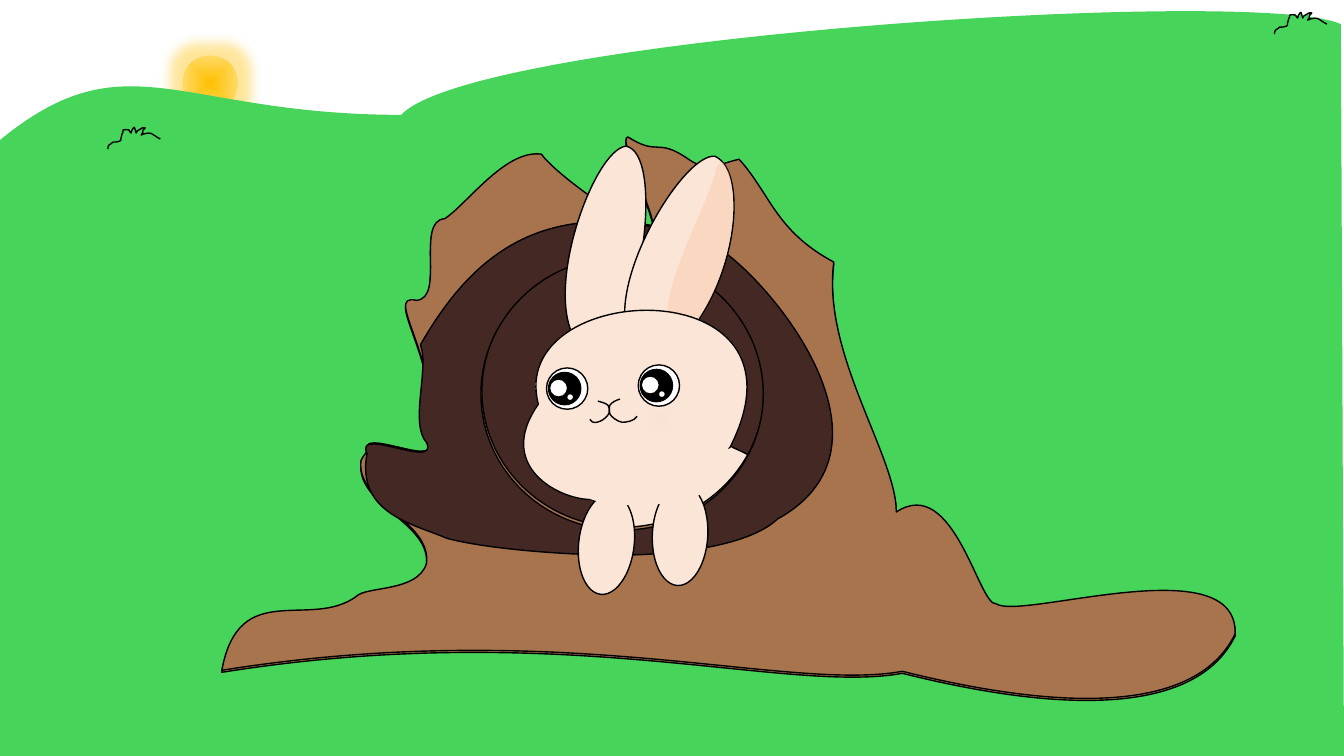
from dataclasses import dataclass, replace
from math import cos, radians, sin

from lxml.etree import SubElement
from pptx import Presentation
from pptx.dml.color import RGBColor
from pptx.enum.dml import MSO_LINE
from pptx.enum.shapes import MSO_SHAPE as Preset
from pptx.oxml.ns import qn
from pptx.util import Inches, Pt

# Grid: 1333 columns by 750 rows, all lengths below are counted in cells
CELL = Inches(0.01)
COLUMNS, ROWS = 1333, 750
FINE = 100  # path units per cell

COLORS = {
    "grass": "47D45A", "ray": "FFF2CC", "sun": "FFC000", "sun rim": "FFD966",
    "bark": "A7744E", "hollow": "442824", "fur": "FBE5D6", "fur light": "F6F8FC",
    "inner ear": "F8CBAD", "blush": "F8BBC9", "white": "FFFFFF", "black": "000000",
}
PEN = {"width": Pt(1), "dash_style": MSO_LINE.SOLID}


@dataclass(frozen=True)
class Look:
    fill: str | None = None
    inked: bool = False
    opacity: int = 100
    soft: float = 0  # soft edge in points
    glow: float = 0  # glow in points
    fade: tuple[str, float] | None = None  # second colour and its position
    radial: bool = False


@dataclass(frozen=True)
class Form:
    preset: Preset
    box: tuple[float, float, float, float]
    look: Look
    turn: float = 0


@dataclass(frozen=True)
class Outline:
    steps: str
    look: Look
    turn: float = 0
    shift: tuple[float, float] = (0, 0)


def color(name: str) -> RGBColor:
    return RGBColor.from_string(COLORS[name])


def apply_look(shape, look: Look) -> None:
    shape.shadow.inherit = False
    props = shape._element.spPr
    if look.fade:
        shape.fill.gradient()
        if not look.radial:
            shape.fill.gradient_angle = 0
        ends = ((look.fill, 0), look.fade)
        for stop, (name, position) in zip(shape.fill.gradient_stops, ends):
            stop.color.rgb, stop.position = color(name), position
        if look.radial:
            gradient = props.find(qn("a:gradFill"))
            gradient.remove(gradient.find(qn("a:lin")))
            center = SubElement(gradient, qn("a:path"), {"path": "shape"})
            SubElement(center, qn("a:fillToRect"), dict.fromkeys("ltrb", "50000"))
    elif look.fill:
        shape.fill.solid()
        shape.fill.fore_color.rgb = color(look.fill)
        if look.opacity < 100:
            tint = props.find(".//" + qn("a:srgbClr"))
            SubElement(tint, qn("a:alpha"), {"val": str(look.opacity * 1000)})
    else:
        shape.fill.background()
    if look.inked:
        shape.line.color.rgb = color("black")
        for name, value in PEN.items():
            setattr(shape.line, name, value)
    else:
        shape.line.fill.background()
    effects = props.find(qn("a:effectLst"))
    if look.glow:
        halo = SubElement(effects, qn("a:glow"), {"rad": str(Pt(look.glow))})
        tint = SubElement(halo, qn("a:srgbClr"), {"val": COLORS[look.fill]})
        SubElement(tint, qn("a:alpha"), {"val": "40000"})
    if look.soft:
        SubElement(effects, qn("a:softEdge"), {"rad": str(Pt(look.soft))})


def rotate(point: tuple, degrees: float) -> tuple[float, float]:
    x, y = point
    c, s = cos(radians(degrees)), sin(radians(degrees))
    return x * c - y * s, x * s + y * c


def read_steps(outline: Outline) -> list[tuple[str, list]]:
    """Split into single commands, turned back to the upright frame."""
    steps = []
    dx, dy = outline.shift
    for token in outline.steps.split():
        if token.isalpha():
            steps.append((token, []))
            continue
        if steps[-1][0] == "C" and len(steps[-1][1]) == 3:
            steps.append(("C", []))
        x, y = map(float, token.split(","))
        steps[-1][1].append(rotate((x + dx, y + dy), -outline.turn))
    return steps


def trace(steps: list) -> list[tuple[float, float]]:
    """Points along the outline, close enough to measure its box."""
    points = []
    for command, ends in steps:
        if command == "C":
            knots = [points[-1], *ends]
            for t in (i / 24 for i in range(1, 25)):
                weights = ((1 - t) ** 3, 3 * t * (1 - t) ** 2, 3 * t * t * (1 - t), t ** 3)
                points.append(tuple(sum(w * k[axis] for w, k in zip(weights, knots))
                                    for axis in (0, 1)))
        else:
            points.extend(ends)
    return points


def draw_outline(shapes, outline: Outline) -> None:
    steps = read_steps(outline)
    points = trace(steps)
    low, high = ([pick(axis) for axis in zip(*points)] for pick in (min, max))
    middle = [(a + b) / 2 for a, b in zip(low, high)]
    move = [new - old for new, old in zip(rotate(middle, outline.turn), middle)]
    fine = [tuple(round((v + m) * FINE) for v, m in zip(point, move)) for point in points]
    builder = shapes.build_freeform(*fine[0], scale=CELL / FINE)
    builder.add_line_segments(fine[1:], close=False)
    shape = builder.convert_to_shape()
    # Swap the straight pieces for true curves
    track = shape._element.spPr.find(".//" + qn("a:path"))
    for piece in list(track):
        track.remove(piece)
    tags = {"M": "a:moveTo", "L": "a:lnTo", "C": "a:cubicBezTo", "Z": "a:close"}
    for command, ends in steps:
        piece = SubElement(track, qn(tags[command]))
        for x, y in ends:
            SubElement(piece, qn("a:pt"), {"x": str(round((x - low[0]) * FINE)),
                                           "y": str(round((y - low[1]) * FINE))})
    shape.rotation = outline.turn
    apply_look(shape, outline.look)


def draw(shapes, parts: list) -> None:
    for part in parts:
        if isinstance(part, Outline):
            draw_outline(shapes, part)
        else:
            shape = shapes.add_shape(part.preset, *(round(v * CELL) for v in part.box))
            shape.rotation = part.turn
            apply_look(shape, part.look)


# Looks
GRASS, FUR, WHITE = Look("grass"), Look("fur"), Look("white", True)
FUR_INKED, BARK, HOLLOW = Look("fur", True), Look("bark", True), Look("hollow", True)
BLUSH, INK = Look("blush", opacity=50, soft=9), Look(inked=True)

# Sun: soft rays around a glowing disc
RAYS = [(238, 68, 109.1), (222, 75, 154.7), (210, 76, 196.4), (194, 73, 237.4),
        (189, 56, 278.2), (191, 28, 309.7), (206, 33, 3.5), (228, 33, 45.3),
        (240, 47, 69.5), (183, 47, 294.6), (179, 63, 245.5), (181, 84, 236.2)]
SUN = [Form(Preset.ISOSCELES_TRIANGLE, (x, y, 5, 50), Look("ray", opacity=47, soft=5), turn)
       for x, y, turn in RAYS]
SUN.append(Form(Preset.OVAL, (181, 55, 55, 55),
                Look("sun", glow=18, fade=("sun rim", 0.99), radial=True)))

# Meadow: hill, two tufts and two plain patches
TUFT = Outline("M 159,138 C 148,132 152,131 142,133 142,133 141,134 140,134 144,128 140,135 142,129 "
               "143,128 144,127 144,127 143,126 142,127 141,127 140,128 137,129 136,130 "
               "136,131 135,131 135,132 133,126 134,124 131,129 131,130 130,131 130,132 "
               "129,131 128,130 128,129 125,128 124,129 122,129 122,131 122,132 121,133 "
               "121,135 120,136 120,137 120,138 120,140 119,140 117,141 114,141 112,141 "
               "112,142 111,142 111,142 110,143 109,143 108,144 107,145 107,147 107,148",
               Look("grass", True))
MEADOW = [
    Outline("M 0,139 C 126,36 176,114 398,114 469,37 1246,-14 1330,24 "
            "L 1333,750 L 0,750 L 0,139 Z", GRASS),
    TUFT, replace(TUFT, shift=(1157, -114)),
    Form(Preset.RECTANGLE, (134, 309, 165, 46), GRASS, 355.4),
    Form(Preset.RECTANGLE, (1098, 559, 165, 46), GRASS),
]

# Stump: each layer is drawn whole, then again with a round hole around the rabbit
TRUNK = ("M 413,300 C 442,298 412,221 441,219 463,205 501,150 537,155 549,172 611,219 646,231 "
         "659,233 610,136 623,138 653,157 651,139 680,158 702,174 708,166 733,160 "
         "764,194 769,231 827,262 815,353 889,454 889,510 946,472 971,604 988,601 "
         "1012,618 1228,544 1225,631 1183,717 1031,702 895,668 778,689 558,613 220,667 "
         "237,575 307,627 353,594 363,583 414,590 423,561 428,518 353,502 358,459 "
         "372,432 386,447 427,452 441,361 378,292 413,300 Z")
BURROW = ("M 418,341 C 463,263 536,180 702,239 744,253 912,437 772,514 749,536 695,546 642,549 "
          "588,552 488,545 444,533 412,519 354,509 365,449 352,421 437,466 424,438 "
          "407,419 427,365 418,341 Z")
HOLE = " M 618,254 C 540,254 478,315 478,390 478,464 540,525 618,525 695,525 758,464 758,390 758,315 695,254 618,254 Z"
CLEARING = ("M 358,175 C 398,86 775,-3 856,104 1053,105 1002,194 1026,229 L 1130,376 "
            "C 1262,435 1484,601 1112,679 773,669 705,589 95,667 14,631 41,561 60,536 "
            "31,524 49,453 81,425 116,413 47,371 119,342 108,323 123,252 208,251 "
            "235,210 311,151 358,175 Z")
STUMP = [
    Outline(CLEARING, GRASS), Outline(TRUNK, BARK), Outline(BURROW, HOLLOW),
    Outline("M 588,496 L 720,434 C 724,446 730,444 727,444 889,515 742,602 717,590 "
            "L 686,556 C 643,588 620,525 588,496 Z", FUR_INKED, 334.4),
    Outline(TRUNK + HOLE, BARK, shift=(0, -2)),
    Outline(BURROW + HOLE, HOLLOW, shift=(-1, 1)),
]

# Rabbit: ears, paws, head, nose, mouth and cheeks
RABBIT = [
    Outline("M 577,345 C 533,302 588,148 621,145 658,153 637,309 604,340 L 577,345 Z", FUR_INKED, 328.3),
    Outline("M 628,343 C 593,293 676,152 709,155 744,170 731,289 669,345 L 628,343 Z", FUR_INKED, 339),
    Outline("M 710,167 C 714,163 714,152 723,172 736,211 719,301 668,345 L 670,346 "
            "C 638,304 707,200 710,167 Z", Look("inner ear", opacity=50), 340.1),
    Form(Preset.OVAL, (647, 480, 55, 101), FUR_INKED, 2.9),
    Outline("M 534,401 C 501,276 816,264 724,444 L 591,495 C 566,500 487,468 534,401 Z",
            Look("fur light", True, fade=("fur", 0.17)), 339.2),
    Outline("M 594,395 C 595,394 613,392 615,393 617,393 611,401 605,401 599,402 592,397 594,395 Z",
            Look("blush", soft=5), 352.6),
    Outline("M 615,396 C 611,397 607,399 605,402 604,404 604,408 605,411 "
            "607,414 612,418 617,419 621,419 629,418 632,413", INK, 334.4),
    Outline("M 593,398 C 597,399 601,400 603,402 605,404 605,407 604,410 "
            "603,413 598,417 595,418 592,419 588,421 585,416", INK, 15.8),
    Form(Preset.OVAL, (534, 406, 36, 25), BLUSH, 352.7),
    Form(Preset.OVAL, (580, 449, 147, 34), FUR, 340.3),
    Form(Preset.OVAL, (631, 400, 50, 34), BLUSH, 5.2),
    Form(Preset.OVAL, (574, 489, 55, 101), FUR_INKED, 6.7),
    Form(Preset.OVAL, (573, 461, 136, 40), FUR, 357.1),
]

# Eyes: white, pupil and two glints, from the corner of each eye
EYE = [(0, 0, 41, WHITE), (2, 4.5, 32, Look("black", True)), (3, 11, 18, WHITE), (20, 25.5, 7, WHITE)]
EYES = [Form(Preset.OVAL, (left + dx, top + dy, size, size), look)
        for left, top in ((633, 362), (542, 365)) for dx, dy, size, look in EYE]


def main() -> None:
    deck = Presentation()
    deck.slide_width, deck.slide_height = COLUMNS * CELL, ROWS * CELL
    scene = deck.slides.add_slide(deck.slide_layouts[6]).shapes
    draw(scene.add_group_shape().shapes, SUN)
    draw(scene, MEADOW)
    draw(scene.add_group_shape().shapes, STUMP + RABBIT + EYES)
    deck.save("out.pptx")


if __name__ == "__main__":
    main()
